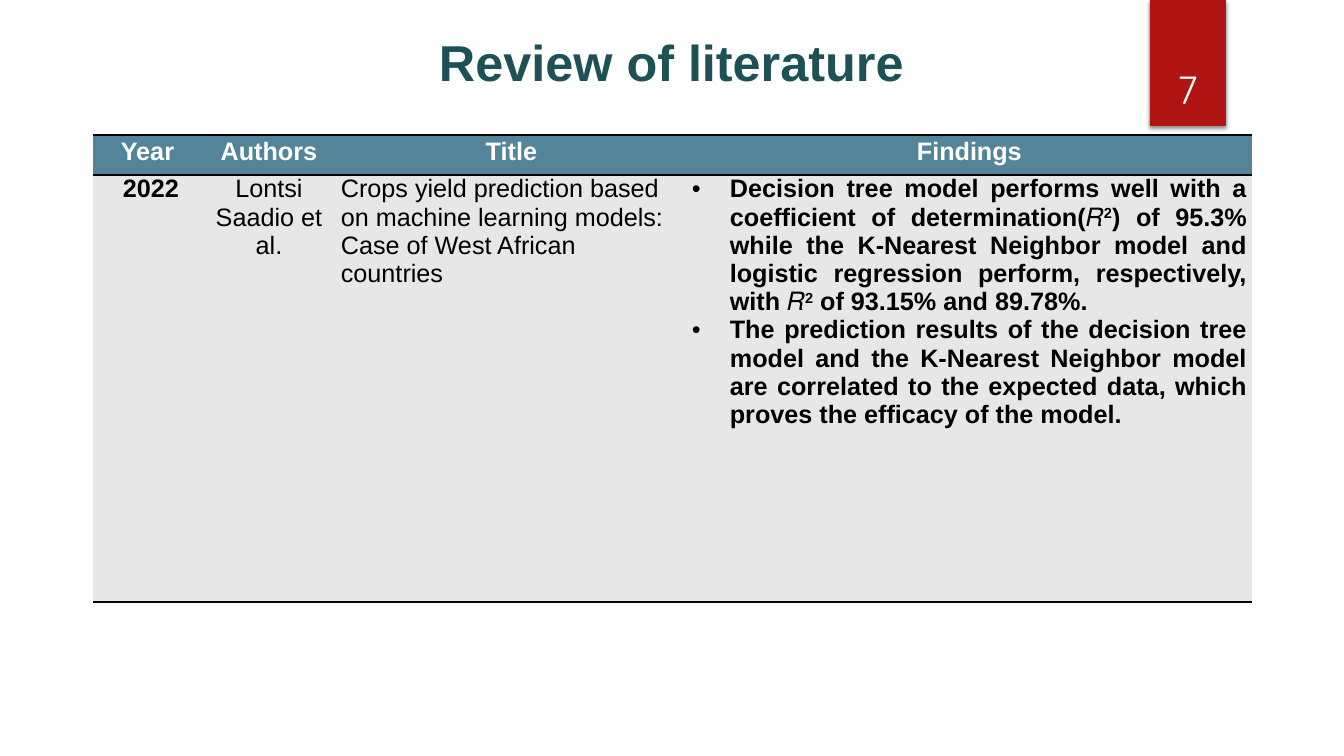
"""Build the literature review slide with its table of findings."""
from lxml import etree
from pptx import Presentation, oxml
from pptx import util as u
from pptx.dml.color import RGBColor
from pptx.enum import shapes, text

PX = 9525 * 96 / 100.8
NS = 'xmlns:a="http://schemas.openxmlformats.org/drawingml/2006/main"'
A = "{http://schemas.openxmlformats.org/drawingml/2006/main}"
NO_STYLE = "{2D5ABB26-0587-4C30-8999-92F81FD0307C}"
WHITE = RGBColor(0xFF, 0xFF, 0xFF)
BLACK = RGBColor(0x00, 0x00, 0x00)
RED = RGBColor(0xB0, 0x15, 0x13)
TEAL = RGBColor(0x1E, 0x51, 0x55)
BLUE = RGBColor(0x54, 0x84, 0x9A)
GREY = RGBColor(0xE7, 0xE7, 0xE7)
CENTER, LEFT, JUSTIFY = text.PP_ALIGN.CENTER, text.PP_ALIGN.LEFT, text.PP_ALIGN.JUSTIFY


def px(*lengths):
    """Turn pixel lengths into EMU."""
    return [u.Emu(round(length * PX)) for length in lengths]


def write(para, content, size=18, color=BLACK, bold=False, font="Arial", align=CENTER):
    """Write text into a paragraph, raising every part between ^ marks."""
    para.alignment = align
    for index, part in enumerate(content.split("^")):
        span = para.add_run()
        span.text = part
        span.font.size = u.Pt(size)
        span.font.name = font
        span.font.bold = bold
        span.font.color.rgb = color
        if index % 2:
            span.font._element.set("baseline", "30000")


deck = Presentation()
deck.slide_width, deck.slide_height = px(1344, 756)
page = deck.slides.add_slide(deck.slide_layouts[5])

title = page.shapes.title
title.left, title.top, title.width, title.height = px(389, 13, 565, 84)
title.text_frame.auto_size = text.MSO_AUTO_SIZE.NONE
title.text_frame.vertical_anchor = text.MSO_ANCHOR.BOTTOM
write(title.text_frame.paragraphs[0], "Review of literature", size=36, color=TEAL, bold=True)

ribbon = page.shapes.add_shape(shapes.MSO_SHAPE.RECTANGLE, *px(1150, 0, 76, 126))
ribbon.fill.solid()
ribbon.fill.fore_color.rgb = RED
ribbon.line.fill.background()
ribbon.shadow.inherit = False
ribbon._element.spPr.find(A + "effectLst").append(oxml.parse_xml(
    f'<a:outerShdw {NS} blurRad="38100" dist="25400" dir="5400000" rotWithShape="0">'
    '<a:srgbClr val="000000"><a:alpha val="45000"/></a:srgbClr></a:outerShdw>'))

number = page.shapes.add_textbox(*px(1141, 32, 93, 85)).text_frame
number.word_wrap = True
number.vertical_anchor = text.MSO_ANCHOR.BOTTOM
number.paragraphs[0].space_after = u.Pt(6)
write(number.paragraphs[0], "7", size=28, color=WHITE, font="Quicksand")

HEADINGS = ["Year", "Authors", "Title", "Findings"]
STUDY = [
    [" 2022"],
    ["Lontsi Saadio et al."],
    ["Crops yield prediction based on machine learning models: Case of West African countries"],
    ["Decision tree model performs well with a coefficient of determination(𝑅^2^) of 95.3% "
     "while the K-Nearest Neighbor model and logistic regression perform, respectively, "
     "with 𝑅^2^ of 93.15% and 89.78%.",
     "The prediction results of the decision tree model and the K-Nearest Neighbor model are "
     "correlated to the expected data, which proves the efficacy of the model."],
]
ALIGNMENTS = [CENTER, CENTER, LEFT, JUSTIFY]
BOLD = [True, False, False, True]

table = page.shapes.add_table(2, 4, *px(93, 135, 1159, 467)).table
table._tbl.tblPr.find(A + "tableStyleId").text = NO_STYLE
table.horz_banding = False
for row, height in zip(table.rows, px(40, 427)):
    row.height = height

for index, width in enumerate(px(109, 134, 351, 565)):
    table.columns[index].width = width
    head, body = table.cell(0, index), table.cell(1, index)
    for cell, fill, side, rise in ((head, BLUE, 6, 3), (body, GREY, 5, 0)):
        cell.margin_left, cell.margin_right = px(side, side)
        cell.margin_top, cell.margin_bottom = px(rise, rise)
        cell.fill.solid()
        cell.fill.fore_color.rgb = fill
        for edge in ("lnB", "lnT"):
            border = oxml.parse_xml(
                f'<a:{edge} {NS} w="25400"><a:solidFill><a:srgbClr val="000000"/>'
                f'</a:solidFill></a:{edge}>')
            cell._tc.tcPr.insert(0, border)
    write(head.text_frame.paragraphs[0], HEADINGS[index], color=WHITE, bold=True)

    frame = body.text_frame
    for order, content in enumerate(STUDY[index]):
        para = frame.add_paragraph() if order else frame.paragraphs[0]
        if ALIGNMENTS[index] == JUSTIFY:
            props = para._p.get_or_add_pPr()
            indent = px(38)[0]
            props.set("marL", str(indent))
            props.set("indent", str(-indent))
            etree.SubElement(props, A + "buFont").set("typeface", "Arial")
            etree.SubElement(props, A + "buChar").set("char", "•")
        write(para, content, bold=BOLD[index], align=ALIGNMENTS[index])

deck.save("out.pptx")
